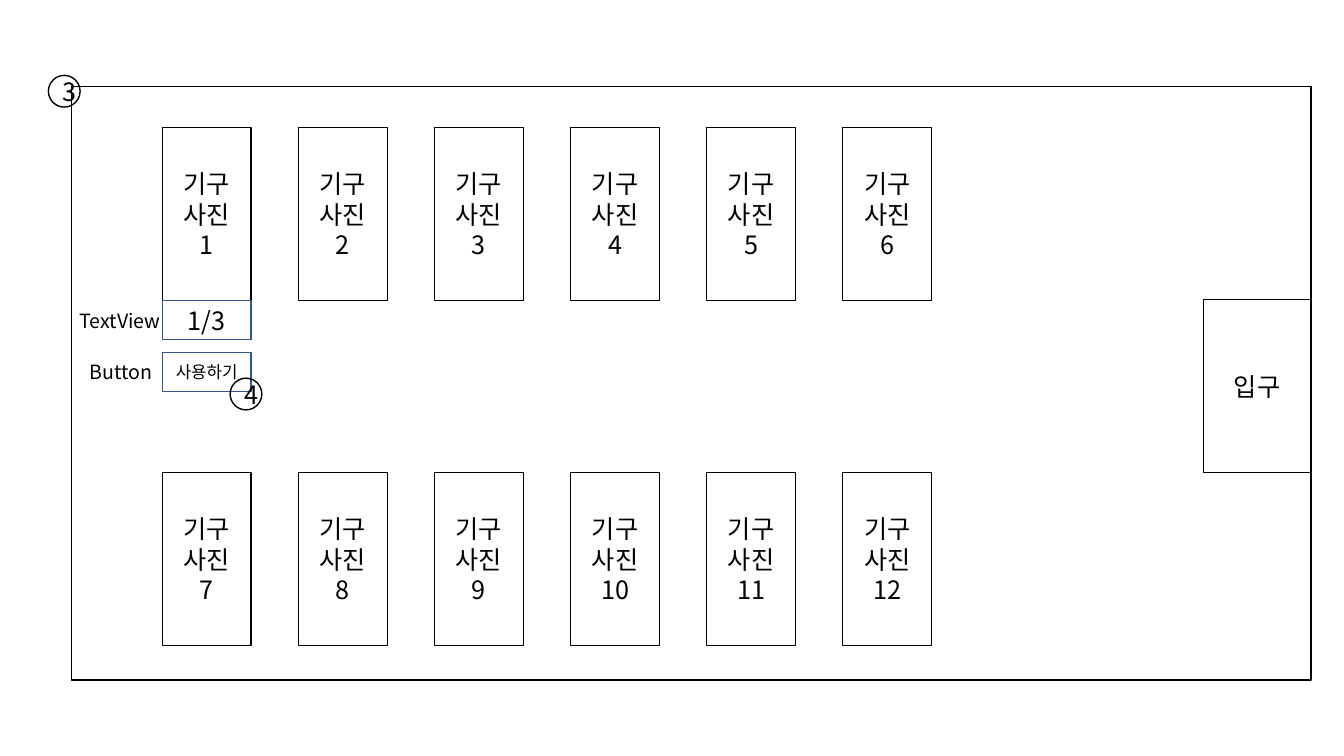
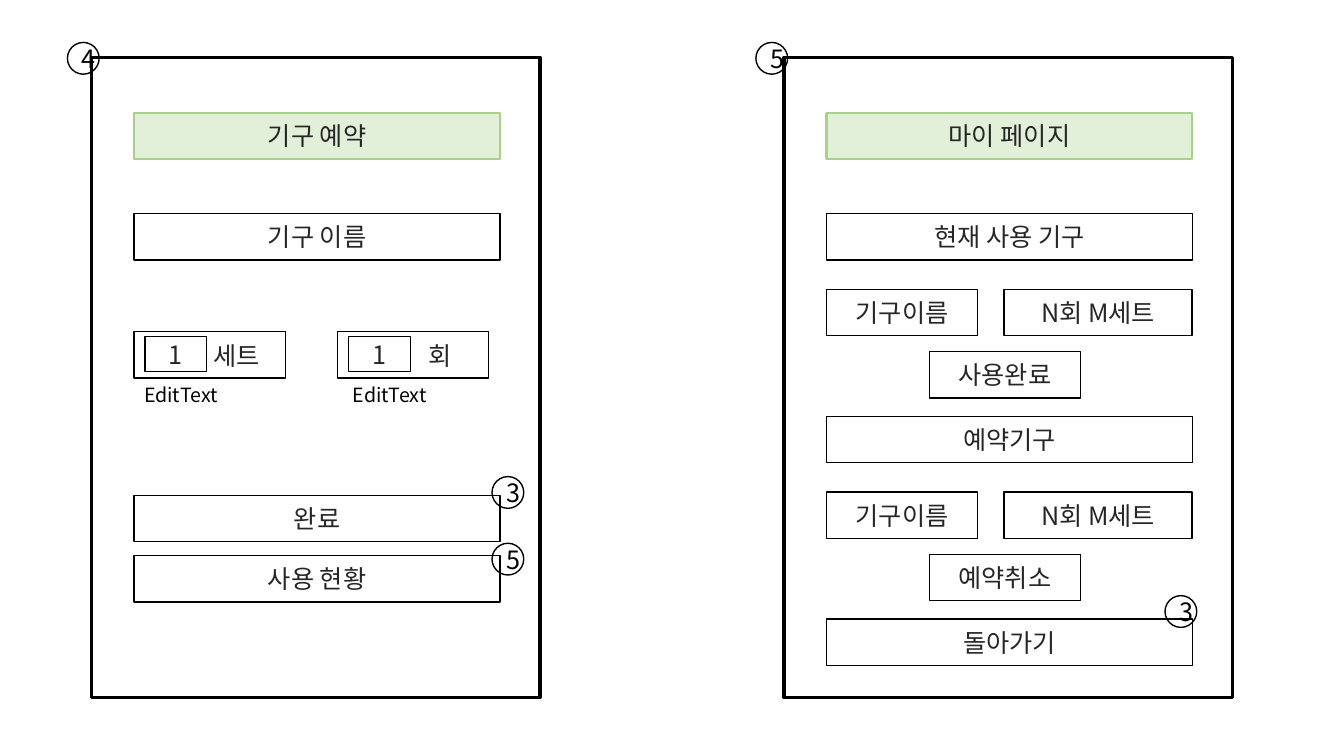
from dataclasses import dataclass
from typing import NamedTuple, Optional

from lxml.etree import SubElement
from pptx import Presentation
from pptx.dml.color import RGBColor
from pptx.enum.shapes import MSO_SHAPE as Preset
from pptx.enum.text import MSO_ANCHOR as Anchor, MSO_AUTO_SIZE as AutoSize, PP_ALIGN as Align
from pptx.oxml.ns import qn
from pptx.slide import Slide
from pptx.util import Cm, Pt


@dataclass(frozen=True)
class Theme:
    font: str = "Noto Sans CJK KR"
    black: str = "000000"
    ink: str = "262626"
    white: str = "FFFFFF"
    blue: str = "325491"
    green: str = "A9D18E"
    pale_green: str = "E2F0D9"
    body_size: float = 18
    label_size: float = 14
    small_size: float = 12


THEME = Theme()


class Style(NamedTuple):
    line: str = THEME.black
    weight: float = 1
    fill: Optional[str] = None
    ink: str = THEME.black
    size: float = THEME.body_size


PLAIN = Style()
WIDGET = Style(line=THEME.blue)
SMALL_WIDGET = Style(line=THEME.blue, size=THEME.small_size)
PHONE = Style(weight=2.25)
FIELD = Style(fill=THEME.white, ink=THEME.ink)
HEADER = Style(line=THEME.green, weight=1.5, fill=THEME.pale_green, ink=THEME.ink)


class Box(NamedTuple):
    left: float
    top: float
    width: float
    height: float
    text: str = ""
    style: Style = PLAIN
    inset: float = 0.25


class Label(NamedTuple):
    left: float
    top: float
    width: float
    text: str


class Badge(NamedTuple):
    left: float
    top: float
    number: int


def write_text(frame, text: str, *, size: float, color: str, align=Align.CENTER) -> None:
    frame.word_wrap = True
    for index, line in enumerate(text.split("\n")):
        paragraph = frame.paragraphs[0] if index == 0 else frame.add_paragraph()
        paragraph.alignment = align
        run = paragraph.add_run()
        run.text = line
        run.font.size = Pt(size)
        run.font.color.rgb = RGBColor.from_string(color)
        run.font.name = THEME.font
        SubElement(run.font._element, qn("a:ea"), typeface=THEME.font)


def draw_box(slide: Slide, box: Box, preset=Preset.RECTANGLE) -> None:
    style = box.style
    shape = slide.shapes.add_shape(
        preset, Cm(box.left), Cm(box.top), Cm(box.width), Cm(box.height))
    shape.shadow.inherit = False
    if style.fill:
        shape.fill.solid()
        shape.fill.fore_color.rgb = RGBColor.from_string(style.fill)
    else:
        shape.fill.background()
    shape.line.color.rgb = RGBColor.from_string(style.line)
    shape.line.width = Pt(style.weight)
    if box.text:
        shape.text_frame.vertical_anchor = Anchor.MIDDLE
        shape.text_frame.margin_left = Cm(box.inset)
        write_text(shape.text_frame, box.text, size=style.size, color=style.ink)


def draw_label(slide: Slide, label: Label) -> None:
    text_box = slide.shapes.add_textbox(
        Cm(label.left), Cm(label.top), Cm(label.width), Cm(0.86))
    write_text(text_box.text_frame, label.text, size=THEME.label_size,
               color=THEME.black, align=Align.LEFT)
    text_box.text_frame.auto_size = AutoSize.SHAPE_TO_FIT_TEXT


def draw_badge(slide: Slide, badge: Badge) -> None:
    draw_box(slide, Box(badge.left, badge.top, 0.8, 0.8, str(badge.number)), Preset.OVAL)


def draw_all(slide: Slide, boxes: list[Box], labels: list[Label], badges: list[Badge]) -> None:
    for box in boxes:
        draw_box(slide, box)
    for label in labels:
        draw_label(slide, label)
    for badge in badges:
        draw_badge(slide, badge)


FIELD_HEIGHT, FULL_WIDTH, SHORT_WIDTH = 1.17, 9.22, 3.81
RESERVE_LEFT, MY_PAGE_LEFT = 3.38, 20.83


def field(left: float, top: float, width: float, text: str,
          style: Style = FIELD, inset: float = 0.25) -> Box:
    return Box(left, top, width, FIELD_HEIGHT, text, style, inset)


def phone(left: float, title: str) -> list[Box]:
    return [Box(left - 1.07, 1.45, 11.3, 16.13, style=PHONE),
            field(left, 2.84, FULL_WIDTH, title, HEADER)]


def counter(left: float, unit: str) -> list[Box]:
    return [field(left, 8.36, SHORT_WIDTH, unit, inset=1.6),
            Box(left + 0.28, 8.48, 1.55, 0.89, "1", FIELD)]


def machine_group(top: float, title: str, action: str) -> list[Box]:
    return [field(MY_PAGE_LEFT, top, FULL_WIDTH, title),
            field(MY_PAGE_LEFT, top + 1.91, SHORT_WIDTH, "기구이름"),
            field(MY_PAGE_LEFT + 4.47, top + 1.91, 4.74, "N회 M세트"),
            field(MY_PAGE_LEFT + 2.59, top + 3.48, SHORT_WIDTH, action)]


def build_floor_plan(slide: Slide) -> None:
    left, pitch, width, height, columns = 4.09, 3.43, 2.24, 4.35, 6
    machines = [
        Box(left + column * pitch, top, width, height,
            f"기구\n사진\n{row * columns + column + 1}")
        for row, top in enumerate((3.22, 11.91)) for column in range(columns)]
    boxes = [Box(1.8, 2.18, 31.24, 14.96), *machines,
             Box(30.33, 7.55, 2.7, 4.36, "입구"),
             Box(left, 7.57, width, 0.99, "1/3", WIDGET),
             Box(left, 8.88, width, 0.99, "사용하기", SMALL_WIDGET)]
    labels = [Label(1.75, 7.65, 2.69, "TextView"), Label(2.01, 8.94, 2.11, "Button")]
    draw_all(slide, boxes, labels, [Badge(1.22, 1.9, 3), Badge(5.8, 9.53, 4)])


def build_phone_screens(slide: Slide) -> None:
    boxes = [*phone(RESERVE_LEFT, "기구 예약"),
             field(RESERVE_LEFT, 5.38, FULL_WIDTH, "기구 이름"),
             *counter(RESERVE_LEFT, "세트"),
             *counter(8.51, "회"),
             field(RESERVE_LEFT, 12.48, FULL_WIDTH, "완료"),
             field(RESERVE_LEFT, 14, FULL_WIDTH, "사용 현황"),
             *phone(MY_PAGE_LEFT, "마이 페이지"),
             *machine_group(5.38, "현재 사용 기구", "사용완료"),
             *machine_group(10.49, "예약기구", "예약취소"),
             field(MY_PAGE_LEFT, 15.6, FULL_WIDTH, "돌아가기")]
    labels = [Label(label_left, 9.52, 3.3, "EditText") for label_left in (RESERVE_LEFT, 8.64)]
    badges = [Badge(1.7, 1.07, 4), Badge(12.4, 12.01, 3), Badge(12.4, 13.69, 5),
              Badge(19.05, 1.07, 5), Badge(29.36, 15.01, 3)]
    draw_all(slide, boxes, labels, badges)


def main() -> None:
    presentation = Presentation()
    presentation.slide_width, presentation.slide_height = Cm(33.87), Cm(19.05)
    blank_layout = presentation.slide_layouts[6]
    for build in (build_floor_plan, build_phone_screens):
        build(presentation.slides.add_slide(blank_layout))
    presentation.save("out.pptx")


main()
